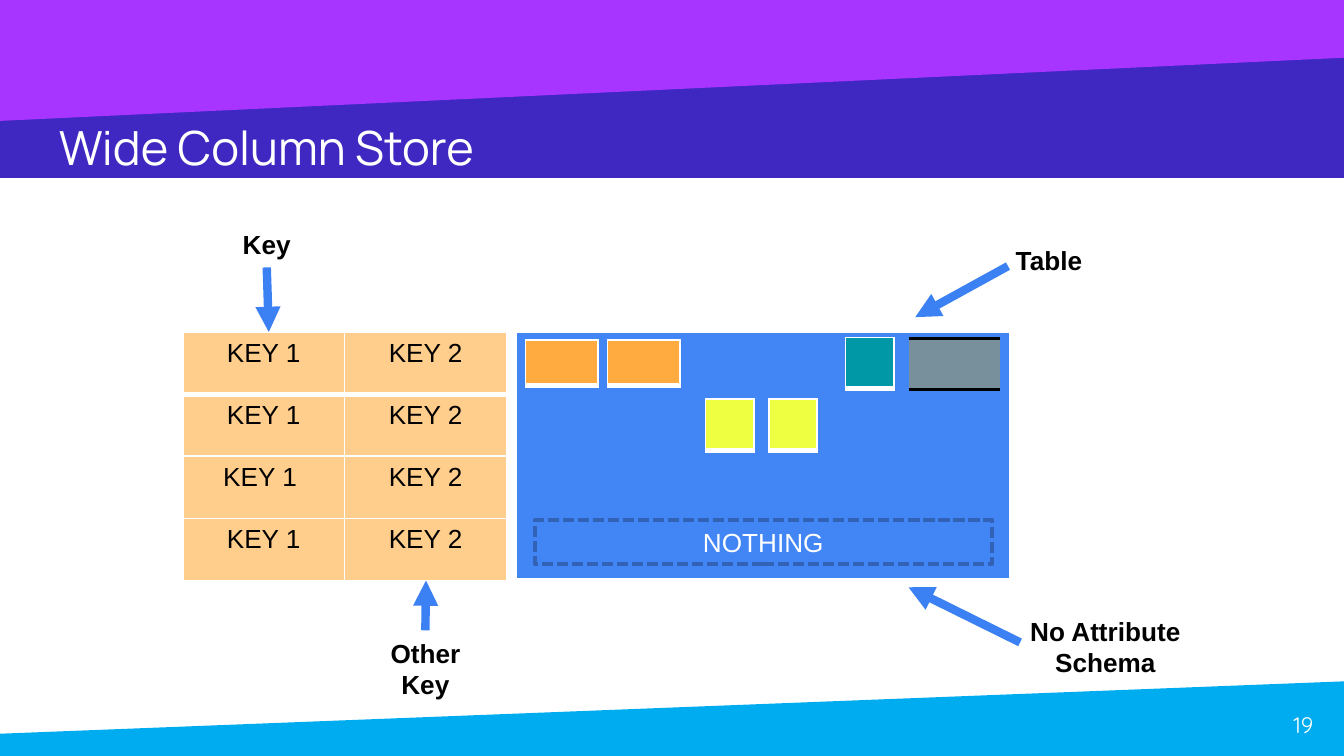
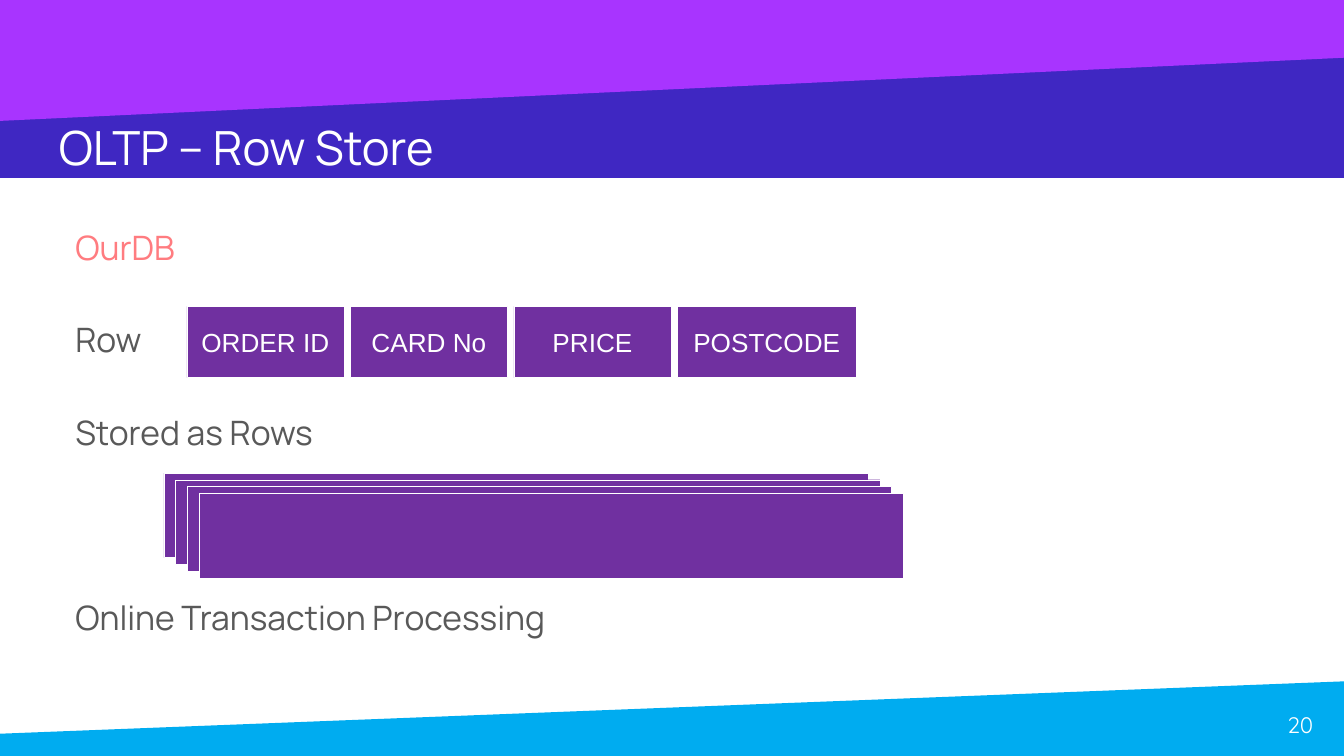
from lxml import etree
from pptx import Presentation
from pptx.dml.color import RGBColor
from pptx.enum.dml import MSO_LINE
from pptx.enum.shapes import MSO_CONNECTOR, MSO_SHAPE
from pptx.enum.text import MSO_ANCHOR as Anchor, PP_ALIGN as Align
from pptx.oxml.ns import qn
from pptx.util import Inches, Pt

# A square grid: 100 columns across the slide, 56.25 rows down
COLUMNS, ROWS = 100, 56.25
UNIT = Inches(0.1)

WHITE = RGBColor(0xFF, 0xFF, 0xFF)
BLACK = RGBColor(0x00, 0x00, 0x00)
GREY = RGBColor(0x59, 0x59, 0x59)
CORAL = RGBColor(0xFF, 0x7C, 0x80)
CYAN = RGBColor(0x00, 0xAC, 0xF0)
INDIGO = RGBColor(0x3F, 0x27, 0xC2)
VIOLET = RGBColor(0xA8, 0x34, 0xFF)
PURPLE = RGBColor(0x70, 0x30, 0xA0)
PEACH = RGBColor(0xFF, 0xCD, 0x8C)
ORANGE = RGBColor(0xFF, 0xAB, 0x40)
BLUE = RGBColor(0x42, 0x85, 0xF4)
ARROW_BLUE = RGBColor(0x3C, 0x81, 0xF3)
DASH_BLUE = RGBColor(0x31, 0x62, 0xB5)
TEAL = RGBColor(0x00, 0x97, 0xA7)
YELLOW = RGBColor(0xEE, 0xFF, 0x41)
SLATE = RGBColor(0x78, 0x90, 0x9C)

TITLE_FONT, LABEL_FONT, NUMBER_FONT = "Manrope", "Arial", "Quicksand"
TOP, BOTTOM = 0, 2

# Cell borders as (colour, points) for each side
FRAME = {"L": (WHITE, 1), "R": (WHITE, 1), "T": (WHITE, 1), "B": (WHITE, 3)}
THIN_FRAME = {**FRAME, "B": (WHITE, 1)}
RULES = {"T": (BLACK, 2), "B": (BLACK, 2)}


def grid(*lengths):
    return [round(length * UNIT) for length in lengths]


# Text
def write(para, text, *, size=14, font=LABEL_FONT, color=BLACK, bold=False,
          align=Align.CENTER):
    para.alignment = align
    span = para.add_run()
    span.text = text
    span.font.size = Pt(size)
    span.font.name = font
    span.font.bold = bold
    span.font.color.rgb = color


def add_text_box(page, place, inset=(1, 0.5), anchor=Anchor.TOP):
    box = page.shapes.add_textbox(*grid(*place))
    frame = box.text_frame
    frame.word_wrap = True
    frame.vertical_anchor = anchor
    side, edge = grid(*inset)
    frame.margin_left = frame.margin_right = side
    frame.margin_top = frame.margin_bottom = edge
    return box


def add_label(page, text, place):
    box = add_text_box(page, place)
    write(box.text_frame.paragraphs[0], text, bold=True)
    return box


# Shapes
def paint(shape, fill, line=None, weight=0.25):
    shape.shadow.inherit = False
    shape.fill.solid()
    shape.fill.fore_color.rgb = fill
    if line is None:
        shape.line.fill.background()
    else:
        shape.line.color.rgb = line
        shape.line.width = Pt(weight)


def add_box(page, place, fill, text="", line=WHITE, weight=0.25):
    box = page.shapes.add_shape(MSO_SHAPE.RECTANGLE, *grid(*place))
    paint(box, fill, line, weight)
    if text:
        box.text_frame.vertical_anchor = Anchor.MIDDLE
        box.text_frame.margin_left = box.text_frame.margin_right = 0
        write(box.text_frame.paragraphs[0], text, color=WHITE)
    return box


def add_band(page, fill, *corners):
    start, *others = [grid(*corner) for corner in corners]
    builder = page.shapes.build_freeform(*start)
    builder.add_line_segments(others)
    paint(builder.convert_to_shape(), fill)


def add_arrow(page, start, end, source=None, side=None):
    arrow = page.shapes.add_connector(
        MSO_CONNECTOR.STRAIGHT, *grid(*start, *end))
    if source is not None:
        arrow.begin_connect(source, side)
    arrow.line.color.rgb = ARROW_BLUE
    arrow.line.width = Pt(4.5)
    etree.SubElement(arrow.line._get_or_add_ln(), qn("a:tailEnd"),
                     type="triangle")
    etree.SubElement(arrow._element.spPr, qn("a:effectLst"))


# Tables
def set_borders(cell, borders):
    properties = cell._tc.get_or_add_tcPr()
    for index, side in enumerate("LRTB"):
        edge = etree.Element(qn(f"a:ln{side}"))
        if side in borders:
            color, weight = borders[side]
            edge.set("w", str(Pt(weight)))
            fill = etree.SubElement(edge, qn("a:solidFill"))
            etree.SubElement(fill, qn("a:srgbClr"), val=str(color))
        else:
            etree.SubElement(edge, qn("a:noFill"))
        properties.insert(index, edge)


def add_grid_table(page, place, fill, rows=(("",),), borders=FRAME,
                   first_borders=None):
    frame = page.shapes.add_table(len(rows), len(rows[0]), *grid(*place))
    table = frame.table
    table.first_row = table.horz_banding = False
    for row_index, row in enumerate(rows):
        for column_index, text in enumerate(row):
            cell = table.cell(row_index, column_index)
            cell.fill.solid()
            cell.fill.fore_color.rgb = fill
            if text:
                write(cell.text_frame.paragraphs[0], text)
            else:
                cell.margin_top = cell.margin_bottom = 0
            is_first = row_index == 0 and first_borders
            set_borders(cell, first_borders if is_first else borders)


# Parts shared by the slides
def add_page(deck, title, number):
    page = deck.slides.add_slide(deck.slide_layouts[6])
    page.background.fill.solid()
    page.background.fill.fore_color.rgb = WHITE
    add_band(page, CYAN, (0, 54.6), (COLUMNS, 50.7), (COLUMNS, ROWS),
             (0, ROWS))
    add_band(page, INDIGO, (0, 0), (COLUMNS, 0), (COLUMNS, 13.25), (0, 13.25))
    add_band(page, VIOLET, (0, 0), (COLUMNS, 0), (COLUMNS, 4.3), (0, 9))
    heading = add_text_box(page, (3.4, 7.85, 93.2, 6.3), inset=(1, 1))
    write(heading.text_frame.paragraphs[0], title, size=25.2,
          font=TITLE_FONT, color=WHITE, align=Align.LEFT)
    footer = add_text_box(page, (92.7, 51.8, 6, 4.3), (1, 1), Anchor.MIDDLE)
    write(footer.text_frame.paragraphs[0], str(number), size=12,
          font=NUMBER_FONT, color=WHITE, align=Align.RIGHT)
    return page


def build_wide_column_page(deck):
    page = add_page(deck, "Wide Column Store", 19)

    # Key columns and the attribute area
    keys = [(key, "KEY 2") for key in ("KEY 1", "KEY 1", "KEY 1 ", "KEY 1")]
    add_grid_table(page, (13.6, 24.7, 24.1, 18.5), PEACH, keys, THIN_FRAME,
                   first_borders=FRAME)
    add_grid_table(page, (38.4, 24.7, 36.7, 18.5), BLUE)

    # Attribute values
    for left in (39.1, 45.2):
        add_grid_table(page, (left, 25.3, 5.4, 3.4), ORANGE)
    add_grid_table(page, (67.6, 25.2, 6.8, 3.8), SLATE, borders=RULES)
    for left, top, fill in ((62.9, 25.1, TEAL), (52.5, 29.7, YELLOW),
                            (57.2, 29.7, YELLOW)):
        add_grid_table(page, (left, top, 3.6, 3.8), fill)
    nothing = add_box(page, (39.8, 38.7, 34, 3.3), BLUE, "NOTHING",
                      DASH_BLUE, 2)
    nothing.line.dash_style = MSO_LINE.SQUARE_DOT

    # Labels and their arrows
    key = add_label(page, "Key", (16.3, 16.5, 7.1, 3.4))
    add_label(page, "Table", (74.5, 17.7, 7.1, 3.4))
    other = add_label(page, "Other Key", (26.9, 46.9, 9.5, 5.7))
    add_label(page, "No Attribute Schema", (73.1, 45.3, 18.3, 5.7))
    add_arrow(page, (19.8, 19.8), (20, 24.7), key, BOTTOM)
    add_arrow(page, (31.7, 47.3), (31.7, 43.2), other, TOP)
    add_arrow(page, (75, 19.8), (68.1, 23.6))
    add_arrow(page, (75.9, 47.8), (67.6, 43.7))


def build_row_store_page(deck):
    page = add_page(deck, "OLTP – Row Store", 20)

    # Body lines, each with the number of lines left free above it
    body = add_text_box(page, (3.4, 15.4, 93.2, 34.5), inset=(2.2, 1))
    lines = (("OurDB", 0, CORAL), ("Row", 1, GREY),
             ("Stored as Rows", 1, GREY),
             ("Online Transaction Processing", 3, GREY))
    for index, (text, free_lines, color) in enumerate(lines):
        frame = body.text_frame
        para = frame.add_paragraph() if index else frame.paragraphs[0]
        para.line_spacing = 1.15
        para.space_before = Pt(24.8 * free_lines)
        write(para, text, size=18, font=TITLE_FONT, color=color,
              align=Align.LEFT)

    # Fields of one row
    fields = (("ORDER ID", 11.7), ("CARD No", 11.7), ("PRICE", 11.7),
              ("POSTCODE", 13.3))
    for index, (field, width) in enumerate(fields):
        add_box(page, (13.9 + 12.17 * index, 22.8, width, 5.3), PURPLE, field)

    # Stack of stored rows
    for index in range(4):
        add_box(page, (12.2 + 0.87 * index, 35.2 + 0.5 * index, 52.4, 6.3),
                PURPLE)


def main():
    deck = Presentation()
    deck.slide_width, deck.slide_height = grid(COLUMNS, ROWS)
    build_wide_column_page(deck)
    build_row_store_page(deck)
    deck.save("out.pptx")


if __name__ == "__main__":
    main()
